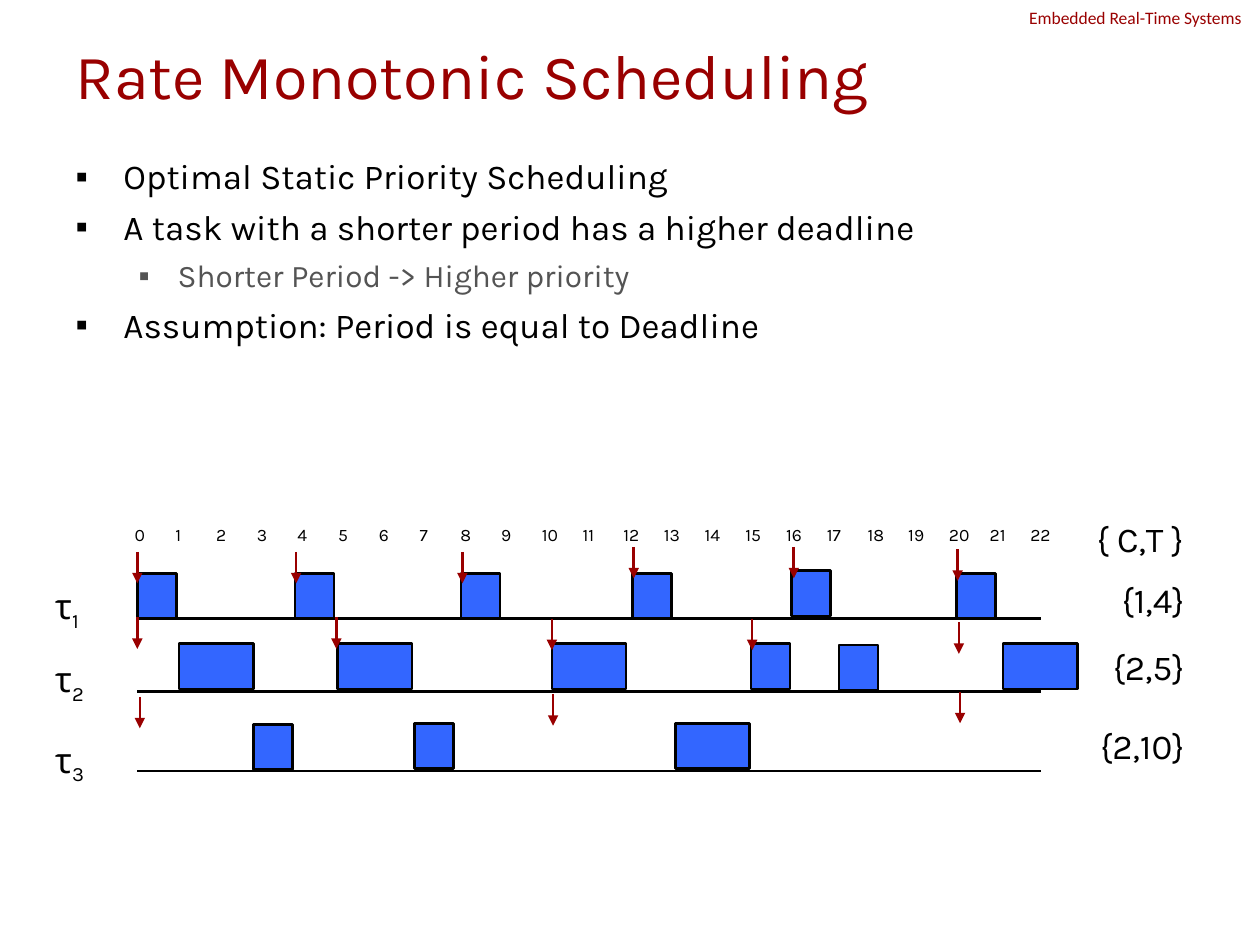
from pptx import Presentation
from pptx.dml.color import RGBColor
from pptx.enum.shapes import MSO_CONNECTOR, MSO_SHAPE
from pptx.enum.text import MSO_ANCHOR, MSO_AUTO_SIZE, PP_ALIGN
from pptx.oxml.xmlchemy import OxmlElement
from pptx.util import Inches, Pt

LEFT, CENTER, RIGHT = PP_ALIGN.LEFT, PP_ALIGN.CENTER, PP_ALIGN.RIGHT
TOP, MIDDLE = MSO_ANCHOR.TOP, MSO_ANCHOR.MIDDLE
FIXED_SIZE = MSO_AUTO_SIZE.NONE
RECTANGLE = MSO_SHAPE.RECTANGLE
STRAIGHT = MSO_CONNECTOR.STRAIGHT

COLORS = {"red": "990000", "black": "000000", "gray": "545454", "blue": "3366FF"}

# Timeline geometry in inches
AXIS_LEFT, AXIS_RIGHT = 1.09, 8.26
TICK_LEFT, TICK_STEP, TICK_COUNT = 0.97, (7.11 - 0.97) / 19, 23
BAR_HEIGHT, ARROW_LENGTH = 0.36, 0.25
SHORT, LONG = 0.31, 0.59

# Bars are (left, top, width); releases are (x, top)
TASKS = [
    {"number": "1", "demand": "{1,4}", "axis": 4.91, "label": 4.59, "demand_top": 4.54,
     "bars": [(1.09, 4.55, SHORT), (2.34, 4.55, SHORT), (3.66, 4.55, SHORT),
              (5.02, 4.55, SHORT), (6.28, 4.53, SHORT), (7.59, 4.55, SHORT)],
     "releases": [(1.09, 4.38), (2.35, 4.38), (3.67, 4.38),
                  (5.03, 4.34), (6.3, 4.34), (7.6, 4.36)]},
    {"number": "2", "demand": "{2,5}", "axis": 5.49, "label": 5.17, "demand_top": 5.07,
     "bars": [(1.42, 5.11, LONG), (2.68, 5.11, LONG), (4.38, 5.11, LONG),
              (5.96, 5.11, SHORT), (6.66, 5.12, SHORT), (7.96, 5.11, LONG)],
     "releases": [(1.09, 4.9), (2.67, 4.9), (4.38, 4.91), (5.97, 4.91), (7.61, 4.94)]},
    {"number": "3", "demand": "{2,10}", "axis": 6.12, "label": 5.81, "demand_top": 5.7,
     "bars": [(2.01, 5.75, SHORT), (3.29, 5.74, SHORT), (5.36, 5.74, LONG)],
     "releases": [(1.11, 5.53), (4.39, 5.51), (7.62, 5.49)]},
]

BULLETS = [
    ("Optimal Static Priority Scheduling", 0),
    ("A task with a shorter period has a higher deadline", 0),
    ("Shorter Period -> Higher priority", 1),
    ("Assumption: Period is equal to Deadline", 0),
]
# Per level: text size, colour, left margin, hanging indent
LEVELS = [(20, "black", 0.38, 0.38), (18, "gray", 0.81, 0.31)]


def color(name):
    return RGBColor.from_string(COLORS[name])


def write(para, text, size=20, font="Karla", ink="black", align=LEFT, subscript=""):
    para.alignment = align
    for part in filter(None, (text, subscript)):
        span = para.add_run()
        span.text = part
        span.font.size = Pt(size)
        span.font.name = font
        span.font.color.rgb = color(ink)
    if subscript:
        span.font._element.set("baseline", "-25000")


def place(box, left, top, width, height):
    box.left, box.top = Inches(left), Inches(top)
    box.width, box.height = Inches(width), Inches(height)


def add_label(page, text, left, top, width, height=0.44, **style):
    box = page.shapes.add_textbox(Inches(left), Inches(top), Inches(width), Inches(height))
    box.text_frame.word_wrap = True
    write(box.text_frame.paragraphs[0], text, **style)


def add_bar(page, left, top, width):
    bar = page.shapes.add_shape(RECTANGLE, Inches(left), Inches(top),
                                Inches(width), Inches(BAR_HEIGHT))
    bar.shadow.inherit = False
    bar.fill.solid()
    bar.fill.fore_color.rgb = color("blue")
    bar.line.color.rgb = color("black")
    bar.line.width = Pt(1.5)


def add_line(page, x1, y1, x2, y2, ink="black", arrow=False):
    line = page.shapes.add_connector(STRAIGHT, Inches(x1), Inches(y1),
                                     Inches(x2), Inches(y2))
    line.line.color.rgb = color(ink)
    line.line.width = Pt(1.5)
    if arrow:
        head = OxmlElement("a:tailEnd")
        head.set("type", "triangle")
        line.line._get_or_add_ln().append(head)
    line._element.spPr.append(OxmlElement("a:effectLst"))


def set_bullet(para, margin, indent):
    props = para._p.get_or_add_pPr()
    props.set("marL", str(Inches(margin)))
    props.set("indent", str(-Inches(indent)))
    bullet = OxmlElement("a:buChar")
    bullet.set("char", "▪")
    props.append(bullet)


def fill_title(title):
    place(title, 0.5, 0.3, 9, 0.58)
    title.text_frame.auto_size = FIXED_SIZE
    title.text_frame.vertical_anchor = MIDDLE
    write(title.text_frame.paragraphs[0], "Rate Monotonic Scheduling", size=36, ink="red")


def fill_body(body):
    place(body, 0.5, 1.18, 9, 5.52)
    frame = body.text_frame
    frame.auto_size = FIXED_SIZE
    frame.vertical_anchor = TOP
    for index, (text, level) in enumerate(BULLETS):
        para = frame.add_paragraph() if index else frame.paragraphs[0]
        size, ink, margin, indent = LEVELS[level]
        para.level = level
        set_bullet(para, margin, indent)
        para.space_before = Pt(5 if index else 0)
        write(para, text, size=size, ink=ink)


def add_task(page, task):
    for bar in task["bars"]:
        add_bar(page, *bar)
    add_line(page, AXIS_LEFT, task["axis"], AXIS_RIGHT, task["axis"])
    add_label(page, "τ", 0.34, task["label"], 0.46, subscript=task["number"])
    add_label(page, task["demand"], 8.42, task["demand_top"], 1.08, align=RIGHT)
    for x, top in task["releases"]:
        add_line(page, x, top, x, top + ARROW_LENGTH, ink="red", arrow=True)


def main():
    deck = Presentation()
    deck.slide_width, deck.slide_height = Inches(10), Inches(7.5)
    page = deck.slides.add_slide(deck.slide_layouts[1])

    # Header, title and list
    add_label(page, "Embedded Real-Time Systems", 8.07, 0.01, 2.27, 0.27,
              size=10, font="Calibri", ink="red")
    fill_title(page.shapes.title)
    fill_body(page.placeholders[1])

    # Time scale
    for tick in range(TICK_COUNT):
        add_label(page, str(tick), TICK_LEFT + tick * TICK_STEP, 4.11, 0.45, 0.27, size=10)
    add_label(page, "{ C,T }", 8.51, 4.06, 1.08, align=CENTER)

    # Task schedules
    for task in TASKS:
        add_task(page, task)

    deck.save("out.pptx")


if __name__ == "__main__":
    main()
